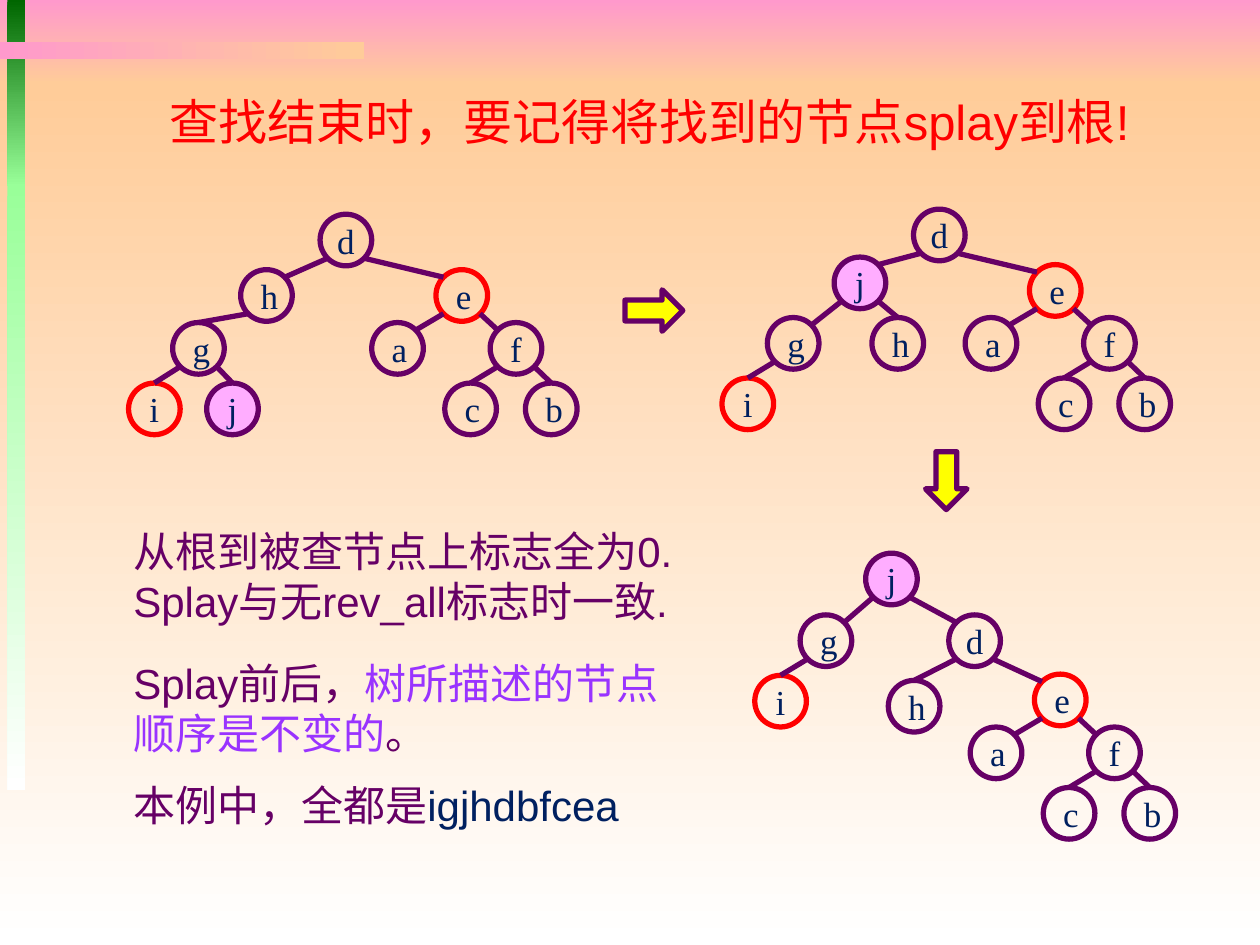
from dataclasses import dataclass
from math import sqrt

from lxml.etree import SubElement
from pptx import Presentation
from pptx.dml.color import RGBColor
from pptx.enum.shapes import MSO_CONNECTOR, MSO_SHAPE
from pptx.enum.text import MSO_ANCHOR, MSO_AUTO_SIZE, PP_ALIGN
from pptx.oxml.ns import qn
from pptx.util import Inches, Pt

COLORS = {
    "pink": "FF99CC", "peach": "FFCC99", "white": "FFFFFF",
    "dark_green": "006600", "light_green": "99FF99",
    "purple": "660066", "red": "FF0000", "lilac": "FFADFF",
    "navy": "002060", "yellow": "FFFF00", "violet": "9933FF",
}
DIAMETER = 0.41
RADIUS = DIAMETER / 2
CORNER = RADIUS / sqrt(2)


@dataclass(frozen=True)
class Band:
    left: float
    top: float
    width: float
    height: float
    start: str
    end: str
    angle: int = 270


@dataclass(frozen=True)
class Node:
    letter: str
    left: float
    top: float
    parent: str = ""
    joins_top: bool = False


@dataclass(frozen=True)
class Arrow:
    left: float
    top: float
    rotation: int


@dataclass(frozen=True)
class Run:
    text: str
    color: str = "purple"


def e_branch(left: float, top: float) -> list[Node]:
    """Subtree rooted at e, which keeps its form in every tree."""
    return [
        Node("e", left, top, "d"),
        Node("a", left - 0.51, top + 0.42, "e"),
        Node("f", left + 0.43, top + 0.42, "e"),
        Node("c", left + 0.07, top + 0.9, "f", True),
        Node("b", left + 0.71, top + 0.9, "f", True),
    ]


BANDS = [
    Band(0, 0, 10, 0.67, "pink", "peach"),
    Band(0, 0.67, 10, 6.83, "peach", "white"),
    Band(0.06, 0, 0.14, 1.48, "dark_green", "light_green"),
    Band(0.06, 1.46, 0.14, 4.81, "light_green", "white"),
    Band(0, 0.33, 2.89, 0.14, "pink", "peach", 0),
]
TREES = [
    [
        Node("d", 2.54, 1.7),
        Node("h", 1.91, 2.14, "d"),
        Node("g", 1.37, 2.56, "h", True),
        Node("i", 1.02, 3.04, "g", True),
        Node("j", 1.64, 3.04, "g", True),
        *e_branch(3.46, 2.14),
    ],
    [
        Node("d", 7.25, 1.66),
        Node("j", 6.62, 2.04, "d"),
        Node("g", 6.09, 2.52, "j"),
        Node("h", 6.92, 2.52, "j", True),
        Node("i", 5.73, 3, "g", True),
        *e_branch(8.17, 2.1),
    ],
    [
        Node("j", 6.87, 4.39),
        Node("g", 6.35, 4.88, "j"),
        Node("d", 7.53, 4.88, "j"),
        Node("i", 5.99, 5.36, "g", True),
        Node("h", 7.05, 5.4, "d", True),
        *e_branch(8.21, 5.35),
    ],
]
ARROWS = [Arrow(4.96, 2.3, 0), Arrow(7.28, 3.65, 90)]
TITLE = "查找结束时，要记得将找到的节点splay到根!"
NOTES = [
    (0, [Run("从根到被查节点上标志全为0.")]),
    (0, [Run("Splay与无rev_all标志时一致.")]),
    (18, [Run("Splay前后，"), Run("树所描述的节点顺序是不变的", "violet"), Run("。")]),
    (12, [Run("本例中，全都是"), Run("igjhdbfcea", "navy")]),
]


def rgb(name: str) -> RGBColor:
    return RGBColor.from_string(COLORS[name])


def add_outlined(slide, kind, left, top, width, height, fill: str, line: str):
    shape = slide.shapes.add_shape(
        kind, Inches(left), Inches(top), Inches(width), Inches(height))
    shape.shadow.inherit = False
    if fill:
        shape.fill.solid()
        shape.fill.fore_color.rgb = rgb(fill)
    else:
        shape.fill.background()
    shape.line.color.rgb = rgb(line)
    shape.line.width = Pt(3)
    return shape


def add_band(slide, band: Band) -> None:
    shape = slide.shapes.add_shape(
        MSO_SHAPE.RECTANGLE, Inches(band.left), Inches(band.top),
        Inches(band.width), Inches(band.height))
    shape.shadow.inherit = False
    shape.line.fill.background()
    shape.fill.gradient()
    shape.fill.gradient_angle = band.angle
    for stop, color in zip(shape.fill.gradient_stops, (band.start, band.end)):
        stop.color.rgb = rgb(color)


def add_node(slide, node: Node) -> None:
    shape = add_outlined(
        slide, MSO_SHAPE.OVAL, node.left, node.top, DIAMETER, DIAMETER,
        "lilac" if node.letter == "j" else "",
        "red" if node.letter in "ei" else "purple")
    frame = shape.text_frame
    frame.word_wrap = node.letter != "d"
    frame.vertical_anchor = MSO_ANCHOR.MIDDLE
    paragraph = frame.paragraphs[0]
    paragraph.text = node.letter
    paragraph.alignment = PP_ALIGN.CENTER
    paragraph.font.name = "Times New Roman"
    paragraph.font.size = Pt(20)
    paragraph.font.color.rgb = rgb("navy")


def add_edge(slide, parent: Node, child: Node) -> None:
    """Join a lower corner of the parent to the child's top or facing corner."""
    side = 1 if child.left > parent.left else -1
    start_x = parent.left + RADIUS + side * CORNER
    start_y = parent.top + RADIUS + CORNER
    end_x, end_y = child.left + RADIUS, child.top
    if not child.joins_top:
        end_x -= side * CORNER
        end_y += RADIUS - CORNER
    connector = slide.shapes.add_connector(
        MSO_CONNECTOR.STRAIGHT, Inches(start_x), Inches(start_y),
        Inches(end_x), Inches(end_y))
    connector.line.color.rgb = rgb("purple")
    connector.line.width = Pt(3)
    SubElement(connector._element.spPr, qn("a:effectLst"))


def add_tree(slide, nodes: list[Node]) -> None:
    by_letter = {node.letter: node for node in nodes}
    for node in nodes:
        add_node(slide, node)
    for node in nodes:
        if node.parent:
            add_edge(slide, by_letter[node.parent], node)


def add_text(slide, left, top, width, height, paragraphs, size: int, wrap: bool) -> None:
    box = slide.shapes.add_textbox(
        Inches(left), Inches(top), Inches(width), Inches(height))
    frame = box.text_frame
    frame.word_wrap = wrap
    frame.auto_size = MSO_AUTO_SIZE.SHAPE_TO_FIT_TEXT
    for index, (space_before, runs) in enumerate(paragraphs):
        paragraph = frame.add_paragraph() if index else frame.paragraphs[0]
        paragraph.space_before = Pt(space_before)
        paragraph.font.name = "Arial"
        paragraph.font.size = Pt(size)
        for item in runs:
            run = paragraph.add_run()
            run.text = item.text
            run.font.color.rgb = rgb(item.color)


def main() -> None:
    presentation = Presentation()
    presentation.slide_width = Inches(10)
    presentation.slide_height = Inches(7.5)
    slide = presentation.slides.add_slide(presentation.slide_layouts[6])
    for band in BANDS:
        add_band(slide, band)
    add_text(slide, 1.25, 0.68, 7.9, 0.57, [(0, [Run(TITLE, "red")])], 28, False)
    for tree in TREES:
        add_tree(slide, tree)
    for arrow in ARROWS:
        shape = add_outlined(slide, MSO_SHAPE.RIGHT_ARROW, arrow.left, arrow.top,
                             0.46, 0.33, "yellow", "purple")
        shape.rotation = arrow.rotation
    add_text(slide, 0.96, 4.12, 4.48, 2.54, NOTES, 24, True)
    presentation.save("out.pptx")


if __name__ == "__main__":
    main()
